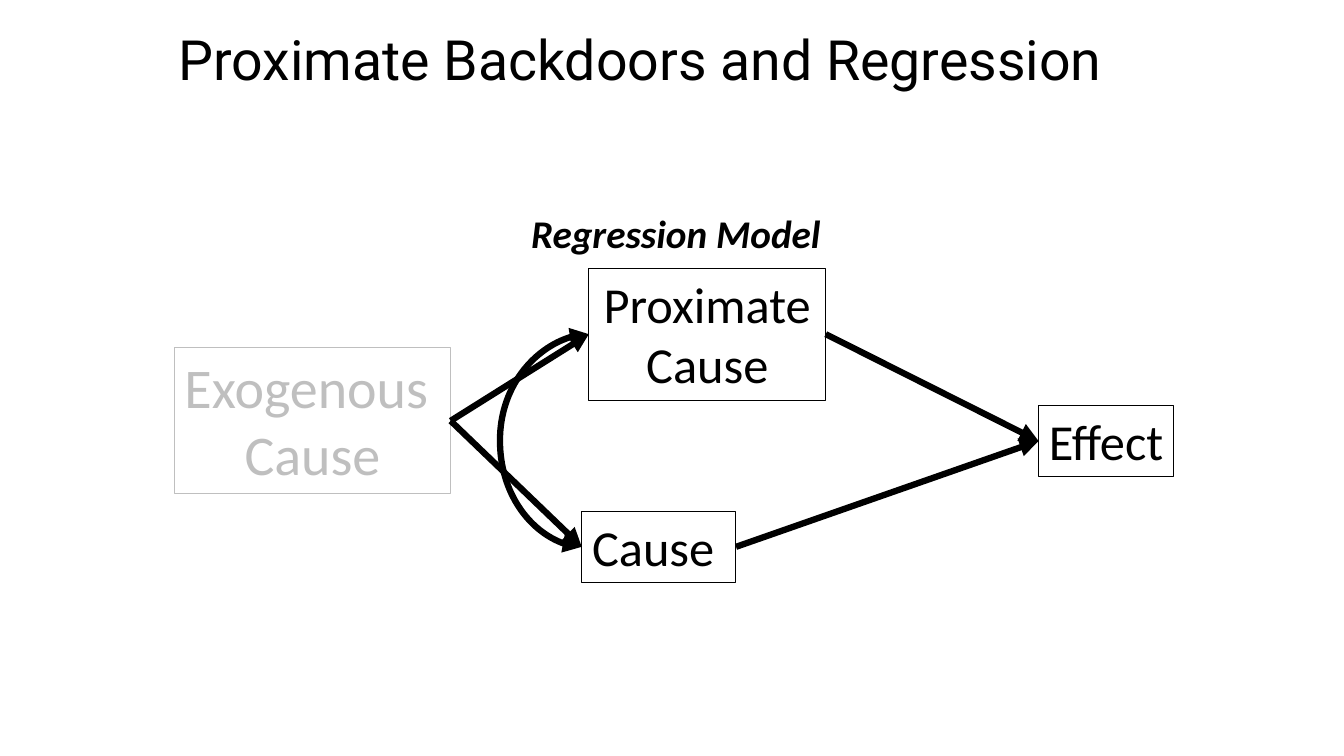
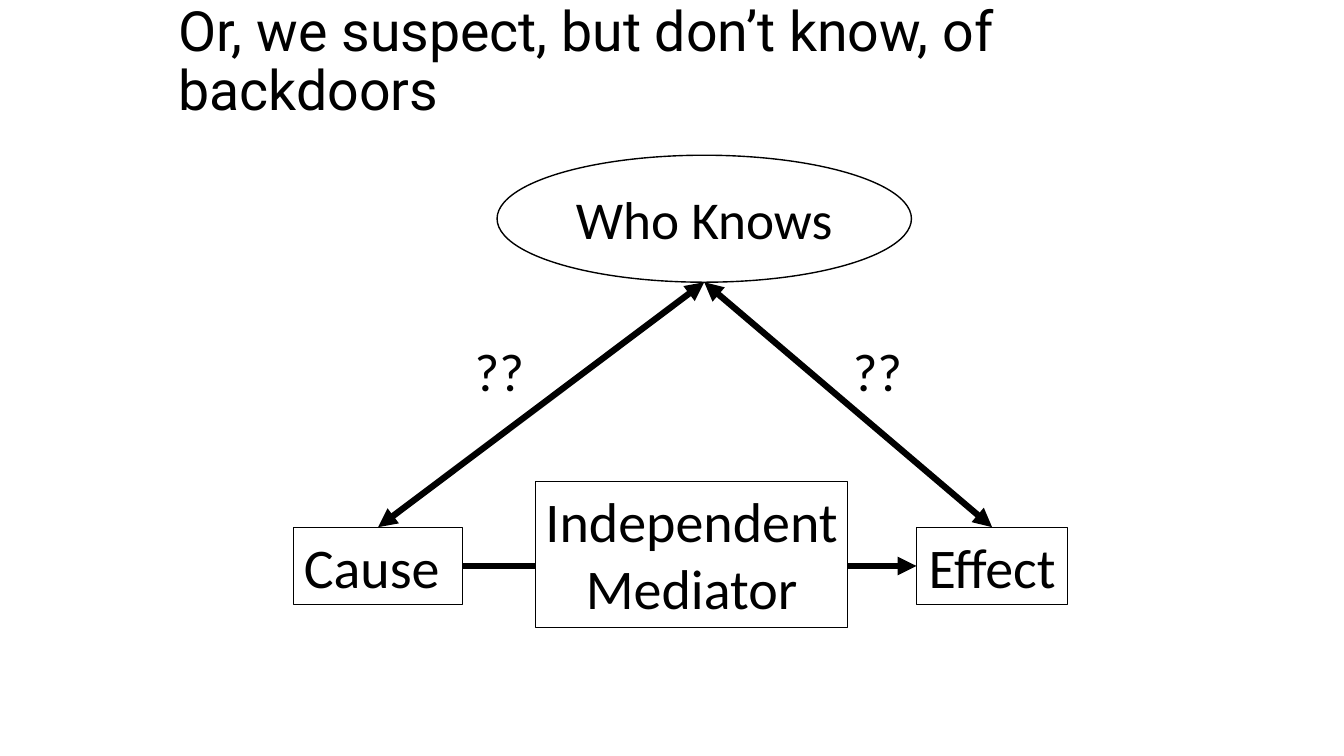
from lxml import etree
from pptx import Presentation
from pptx import util as u
from pptx.dml.color import RGBColor
from pptx.enum import shapes, text
from pptx.oxml.ns import qn

PX = 9144  # 100 px to the inch
BLACK, WHITE, GREY = "000000", "FFFFFF", "BFBFBF"
BODY, HEAD = "Calibri", "Roboto"
TITLE = (167, 0, 1000, 125)
RECT, OVAL = shapes.MSO_SHAPE.RECTANGLE, shapes.MSO_SHAPE.OVAL
TOP, LEFT, BOTTOM, RIGHT = range(4)


def emu(*px):
    return [u.Emu(round(n * PX)) for n in px]


def hue(code):
    return RGBColor.from_string(code)


def write(frame, words, size, font=BODY, color=BLACK, bold=False, italic=False,
          align="LEFT", anchor="TOP", wrap=False, grow=True, space=None):
    """Fill a text frame, one paragraph for each line of words."""
    fit = text.MSO_AUTO_SIZE
    frame.text = words
    frame.word_wrap = wrap
    frame.auto_size = fit.SHAPE_TO_FIT_TEXT if grow else fit.NONE
    frame.vertical_anchor = getattr(text.MSO_ANCHOR, anchor)
    for para in frame.paragraphs:
        para.alignment = getattr(text.PP_ALIGN, align)
        if space:
            para.line_spacing = space
        face = para.font
        face.name, face.size = font, u.Pt(size)
        face.bold, face.italic = bold, italic
        face.color.rgb = hue(color)


def start(deck, title):
    """Add a slide with the shared title style."""
    slide = deck.slides.add_slide(deck.slide_layouts[5])
    head = slide.shapes.title
    head.left, head.top, head.width, head.height = emu(*TITLE)
    write(head.text_frame, title, 39.6, font=HEAD, anchor="MIDDLE",
          wrap=True, grow=False, space=0.9)
    return slide


def node(slide, words, box, size, kind=RECT, color=BLACK, fill=None,
         width=0.75, **style):
    shape = slide.shapes.add_shape(kind, *emu(*box))
    shape.shadow.inherit = False
    if fill:
        shape.fill.solid()
        shape.fill.fore_color.rgb = hue(fill)
    else:
        shape.fill.background()
    shape.line.color.rgb = hue(color)
    shape.line.width = u.Pt(width)
    write(shape.text_frame, words, size, color=color, align="CENTER", **style)
    return shape


def label(slide, words, box, size, **style):
    area = slide.shapes.add_textbox(*emu(*box))
    write(area.text_frame, words, size, **style)


def spot(shape, side):
    """Return the middle of one side of a shape."""
    x, y = shape.left + shape.width // 2, shape.top + shape.height // 2
    return {TOP: (x, shape.top), LEFT: (shape.left, y),
            BOTTOM: (x, shape.top + shape.height),
            RIGHT: (shape.left + shape.width, y)}[side]


def link(slide, tail, out, tip, into, both=False, bulge=0):
    """Join two sides with an arrow; bulge bends it that many px leftward."""
    kind = shapes.MSO_CONNECTOR
    a, b = spot(tail, out), spot(tip, into)
    line = slide.shapes.add_connector(
        kind.CURVE if bulge else kind.STRAIGHT, *a, *b)
    if bulge:
        guides = line._element.spPr.find(qn("a:prstGeom")).find(qn("a:avLst"))
        bend = round(bulge * PX / (a[0] - b[0]) * 100000)
        etree.SubElement(guides, qn("a:gd"), name="adj1", fmla=f"val {bend}")
    else:
        if tail.auto_shape_type == RECT:
            line.begin_connect(tail, out)
        line.end_connect(tip, into)
    line.line.color.rgb = hue(BLACK)
    line.line.width = u.Pt(4.5)
    stroke = line.line._get_or_add_ln()
    for end in ("headEnd", "tailEnd") if both else ("tailEnd",):
        etree.SubElement(stroke, qn("a:" + end), type="triangle")
    etree.SubElement(line._element.spPr, qn("a:effectLst"))


def proximate(deck):
    slide = start(deck, "Proximate Backdoors and Regression")
    cause = node(slide, "Cause ", (577, 507, 153, 71), 36)
    near = node(slide, "Proximate \nCause", (584, 266, 235, 131), 36)
    effect = node(slide, "Effect", (1030, 402, 134, 71), 36)
    label(slide, "Regression Model", (517, 203, 310, 57), 28,
          bold=True, italic=True)
    origin = node(slide, "Exogenous \nCause", (173, 345, 274, 145), 40,
                  color=GREY)
    link(slide, near, LEFT, cause, LEFT, both=True, bulge=88)
    for box in (cause, near):
        link(slide, box, RIGHT, effect, LEFT)
        link(slide, origin, RIGHT, box, LEFT)


def suspect(deck):
    slide = start(deck, "Or, we suspect, but don’t know, of backdoors")
    cause = node(slide, "Cause ", (291, 523, 168, 77), 40)
    effect = node(slide, "Effect", (909, 523, 150, 77), 40)
    who = node(slide, "Who Knows", (493, 154, 411, 126), 38, kind=OVAL,
               fill=WHITE, width=1, anchor="MIDDLE", wrap=True, grow=False)
    link(slide, cause, RIGHT, effect, LEFT)
    for box, x in ((cause, 461), (effect, 836)):
        link(slide, who, BOTTOM, box, TOP, both=True)
        label(slide, "??", (x, 331, 70, 74), 38)
    node(slide, "Independent\nMediator", (531, 478, 310, 145), 40, fill=WHITE)


def main():
    deck = Presentation()
    deck.slide_width, deck.slide_height = emu(1333, 750)
    proximate(deck)
    suspect(deck)
    deck.save("out.pptx")


if __name__ == "__main__":
    main()
